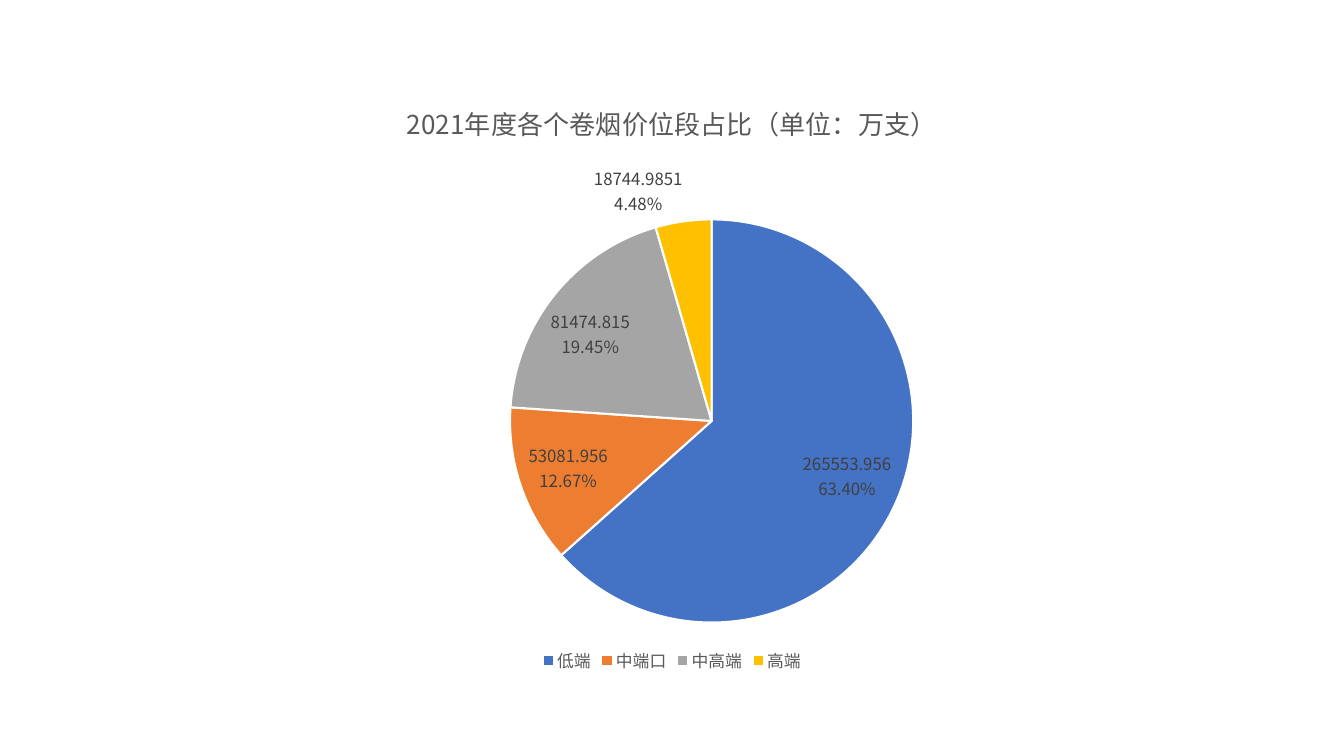
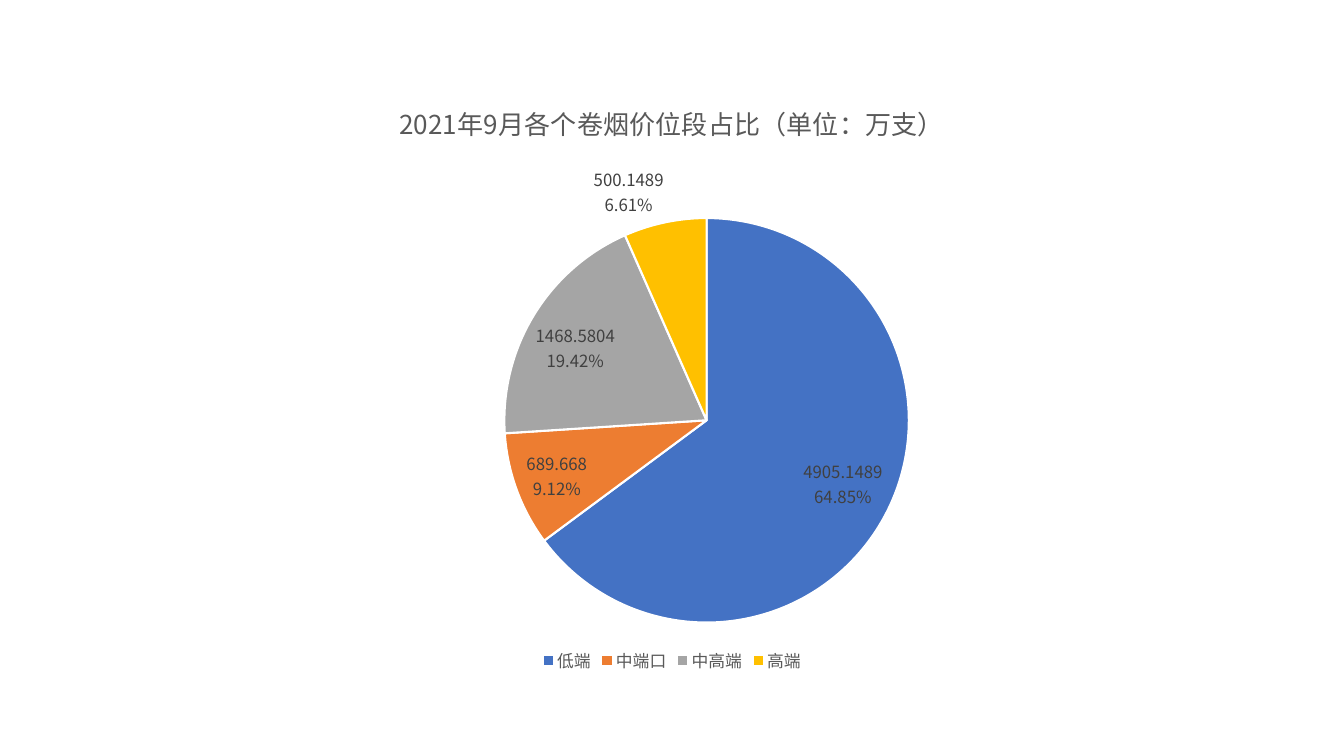
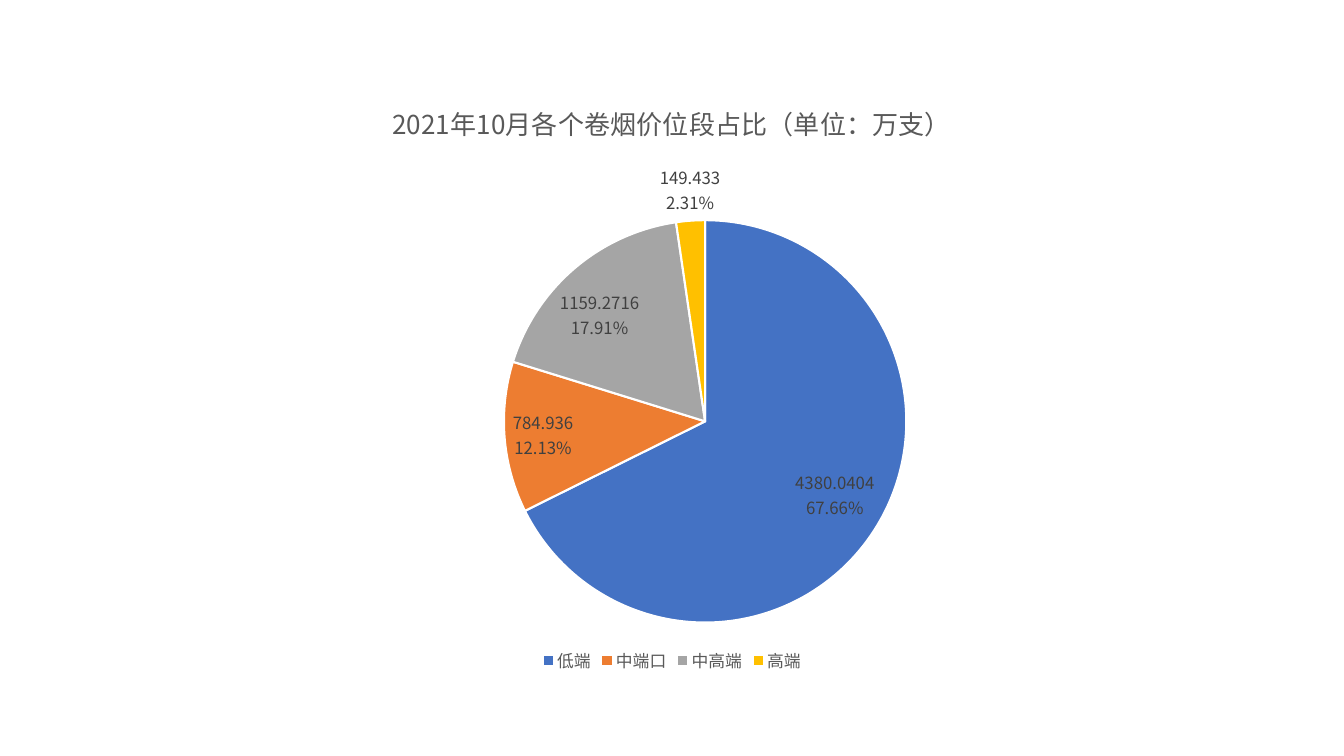
from dataclasses import dataclass

from pptx import Presentation
from pptx.chart.data import CategoryChartData
from pptx.dml.color import RGBColor
from pptx.enum.chart import XL_CHART_TYPE, XL_LABEL_POSITION, XL_LEGEND_POSITION
from pptx.oxml.ns import qn
from pptx.util import Cm, Pt
from lxml import etree

PIE = XL_CHART_TYPE.PIE
FIT = XL_LABEL_POSITION.BEST_FIT
BOTTOM = XL_LEGEND_POSITION.BOTTOM


# Look shared by all slides
@dataclass(frozen=True)
class Theme:
    font: str = "Noto Sans CJK SC"
    base: str = "000000"
    text: str = "595959"
    label: str = "404040"
    edge: str = "FFFFFF"
    fills: tuple = ("4472C4", "ED7D31", "A5A5A5", "FFC000")
    title_size: float = 18.6
    text_size: float = 12
    base_size: float = 10
    edge_width: float = 1.5


# Chart content
TIERS = ("低端", "中端口", "中高端", "高端")
TITLE = "{}各个卷烟价位段占比（单位：万支）"
SALES = {
    "2021年度": (265553.956, 53081.956, 81474.815, 18744.9851),
    "2021年9月": (4905.1489, 689.668, 1468.5804, 500.1489),
    "2021年10月": (4380.0404, 784.936, 1159.2716, 149.433),
}
WIDTH, HEIGHT = 33.87, 19.05
BOX_W, BOX_H = 22.58, 15.06
BOX = [Cm(n) for n in ((WIDTH - BOX_W) / 2, 2, BOX_W, BOX_H)]


def assign(target, values):
    for name, value in values.items():
        setattr(target, name, value)


class Deck:
    def __init__(self, theme):
        self.theme = theme
        self.file = Presentation()
        assign(self.file, {"slide_width": Cm(WIDTH), "slide_height": Cm(HEIGHT)})
        self.slide = None

    def page(self):
        self.slide = self.file.slides.add_slide(self.file.slide_layouts[6])

    def style(self, font, size, color):
        assign(font, {"name": self.theme.font, "size": Pt(size), "bold": False})
        font.color.rgb = RGBColor.from_string(color)

    def pie(self, title, names, values):
        look = self.theme
        data = CategoryChartData()
        data.categories = names
        data.add_series("Series 1", values)
        chart = self.slide.shapes.add_chart(PIE, *BOX, data).chart
        self.style(chart.font, look.base_size, look.base)
        self.head(chart, title)
        self.legend(chart)
        plot = chart.plots[0]
        plot.vary_by_categories = True
        self.slices(plot.series[0])
        self.labels(plot.series[0].data_labels)
        # East Asian text uses the same font
        for latin in chart.element.xpath(".//a:latin"):
            asian = etree.Element(qn("a:ea"), typeface=look.font)
            latin.addnext(asian)

    def head(self, chart, title):
        frame = chart.chart_title.text_frame
        frame.text = title
        font = frame.paragraphs[0].runs[0].font
        self.style(font, self.theme.title_size, self.theme.text)
        chart.chart_title.include_in_layout = False

    def legend(self, chart):
        chart.has_legend = True
        assign(chart.legend, {"position": BOTTOM, "include_in_layout": False})
        self.style(chart.legend.font, self.theme.text_size, self.theme.text)

    def slices(self, series):
        for index, color in enumerate(self.theme.fills):
            part = series.points[index].format
            part.fill.solid()
            part.fill.fore_color.rgb = RGBColor.from_string(color)
            part.line.color.rgb = RGBColor.from_string(self.theme.edge)
            part.line.width = Pt(self.theme.edge_width)

    def labels(self, labels):
        assign(labels, {
            "show_value": True,
            "show_percentage": True,
            "number_format": "0.00%",
            "number_format_is_linked": False,
            "position": FIT,
        })
        self.style(labels.font, self.theme.text_size, self.theme.label)
        # Value and share on separate lines
        split = etree.Element(qn("c:separator"))
        split.text = "\n"
        flags = labels._element
        last = flags.find(qn("c:showBubbleSize"))
        if last is None:
            last = flags.find(qn("c:showPercent"))
        last.addnext(split)


# One pie for each period
deck = Deck(Theme())
for period, values in SALES.items():
    deck.page()
    deck.pie(TITLE.format(period), TIERS, values)
deck.file.save("out.pptx")
